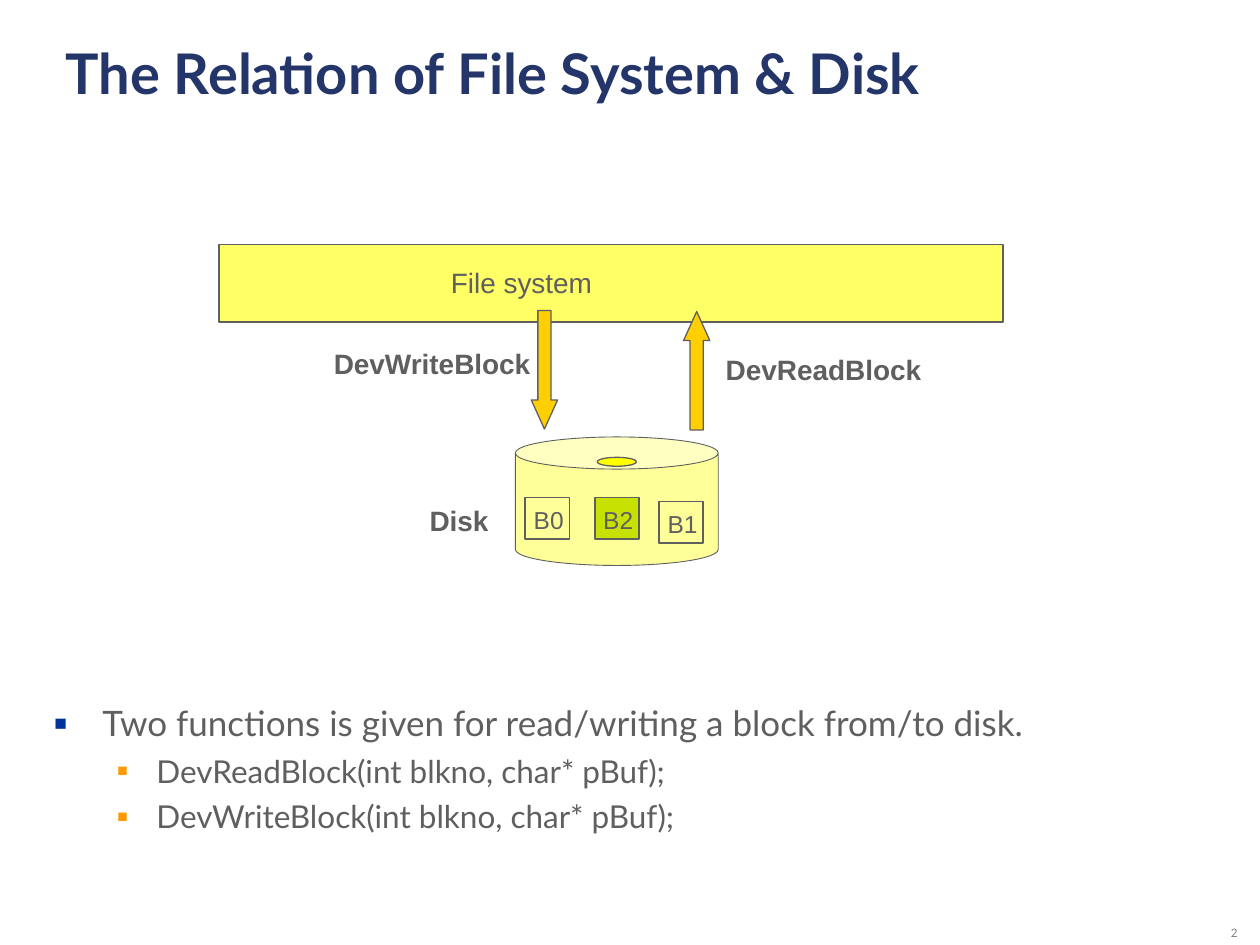
from lxml.etree import SubElement
from pptx import Presentation
from pptx.dml.color import RGBColor
from pptx.enum.shapes import MSO_SHAPE as Shape
from pptx.enum.text import MSO_ANCHOR as Anchor, MSO_AUTO_SIZE as AutoSize, PP_ALIGN as Align
from pptx.oxml.ns import qn
from pptx.util import Cm, Pt

GRAY = "5F5F5F"
GOLD = "FFCF01"


def color(hex_string):
    return RGBColor.from_string(hex_string)


def set_font(para, size, name="Arial", ink=GRAY, bold=False):
    para.font.size = Pt(size)
    para.font.name = name
    para.font.bold = bold
    para.font.color.rgb = color(ink)


def place(item, left, top, width, height):
    item.left, item.top = Cm(left), Cm(top)
    item.width, item.height = Cm(width), Cm(height)


def add_figure(shapes, kind, left, top, width, height, fill=None, line=1):
    figure = shapes.add_shape(kind, Cm(left), Cm(top), Cm(width), Cm(height))
    figure.shadow.inherit = False
    if fill:
        figure.fill.solid()
        figure.fill.fore_color.rgb = color(fill)
    else:
        figure.fill.background()
    figure.line.color.rgb = color(GRAY)
    figure.line.width = Pt(line)
    return figure


def add_label(shapes, text, left, top, width, height=0.94, size=16, bold=False):
    box = shapes.add_textbox(Cm(left), Cm(top), Cm(width), Cm(height))
    box.text_frame.word_wrap = False
    box.text_frame.auto_size = AutoSize.SHAPE_TO_FIT_TEXT
    para = box.text_frame.paragraphs[0]
    para.text = text
    set_font(para, size, bold=bold)
    return box


def add_title(page, left, top, width, height):
    title = page.shapes.title
    place(title, left, top, width, height)
    frame = title.text_frame
    frame.text = "The Relation of File System & Disk"
    frame.vertical_anchor = Anchor.TOP
    frame.auto_size = AutoSize.NONE
    para = frame.paragraphs[0]
    para.alignment = Align.LEFT
    set_font(para, 32, "Lato", "24356A", True)


def add_bullet(para, ink, percent, margin, hanging):
    properties = para._p.get_or_add_pPr()
    properties.set("marL", str(Cm(margin)))
    properties.set("indent", str(-Cm(hanging)))
    tint = SubElement(properties, qn("a:buClr"))
    SubElement(tint, qn("a:srgbClr"), val=ink)
    SubElement(properties, qn("a:buSzPct"), val=str(percent * 1000))
    SubElement(properties, qn("a:buFont"), typeface="Arial")
    SubElement(properties, qn("a:buChar"), char="■")


def add_body(page, left, top, width, height):
    body = page.placeholders[1]
    place(body, left, top, width, height)
    frame = body.text_frame
    frame.auto_size = AutoSize.NONE
    lines = [
        "Two functions is given for read/writing a block from/to disk.",
        "DevReadBlock(int blkno, char* pBuf);",
        "DevWriteBlock(int blkno, char* pBuf);",
    ]
    frame.text = "\n".join(lines)
    for index, para in enumerate(frame.paragraphs):
        if index == 0:
            add_bullet(para, "003399", 60, 0.97, 0.97)
            para.space_before = Pt(0)
            set_font(para, 20, "Lato")
        else:
            para.level = 1
            add_bullet(para, "FF9900", 55, 2.06, 0.79)
            para.space_before = Pt(4.5)
            set_font(para, 18, "Lato")


def add_file_system(page, left, top, width, height):
    add_figure(page.shapes, Shape.RECTANGLE, left, top, width, height, "FFFF66")
    add_label(page.shapes, "File system", left + 4.42, top + 0.3, 3.35)


def add_transfer(page, left, top, rotation, text, label_left, label_top):
    arrow = add_figure(page.shapes, Shape.RIGHT_ARROW, left, top, 2.39, 0.53, GOLD, 0.75)
    arrow.adjustments[1] = 1.105
    arrow.rotation = rotation
    add_label(page.shapes, text, left + label_left, top + label_top, 4.52, bold=True)


def add_block(page, name, left, top, fill=None):
    group = page.shapes.add_group_shape()
    add_figure(group.shapes, Shape.RECTANGLE, left, top, 0.89, 0.84, fill)
    add_label(group.shapes, name, left - 0.08, top + 0.03, 1.12, 0.86, 14)


def add_disk(page, left, top, width, height):
    add_figure(page.shapes, Shape.CAN, left, top, width, height, "FFFF99", 0.5)
    add_label(page.shapes, "Disk", left - 1.98, top + 1.22, 1.7, bold=True)
    add_figure(page.shapes, Shape.OVAL, left + 1.65, top + 0.41, 0.79, 0.18, "FFFF00", 0.75)
    add_block(page, "B2", left + 1.6, top + 1.22, "C7E202")
    add_block(page, "B0", left + 0.2, top + 1.22)
    add_block(page, "B1", left + 2.9, top + 1.3)


def add_page_number(page, left, top, width, height):
    box = add_label(page.shapes, "2", left, top, width, height)
    box.text_frame.word_wrap = True
    box.text_frame.auto_size = AutoSize.NONE
    box.text_frame.vertical_anchor = Anchor.BOTTOM
    para = box.text_frame.paragraphs[0]
    para.alignment = Align.RIGHT
    para.line_spacing = 0.8
    set_font(para, 6.6, "Lato", "808080")


def main():
    deck = Presentation()
    deck.slide_width, deck.slide_height = Cm(25.4), Cm(19.05)
    page = deck.slides.add_slide(deck.slide_layouts[1])
    add_page_number(page, 22.66, 18.42, 2.54, 0.64)
    add_title(page, 1.07, 0.64, 22.94, 3.1)
    add_disk(page, 10.39, 8.81, 4.09, 2.59)
    add_file_system(page, 4.42, 4.93, 15.8, 1.57)
    add_transfer(page, 9.78, 7.19, 90, "DevWriteBlock", -3.3, -0.33)
    add_transfer(page, 12.85, 7.21, 270, "DevReadBlock", 1.53, -0.22)
    add_body(page, 0.84, 14.02, 22.96, 3.76)
    deck.save("out.pptx")


if __name__ == "__main__":
    main()
